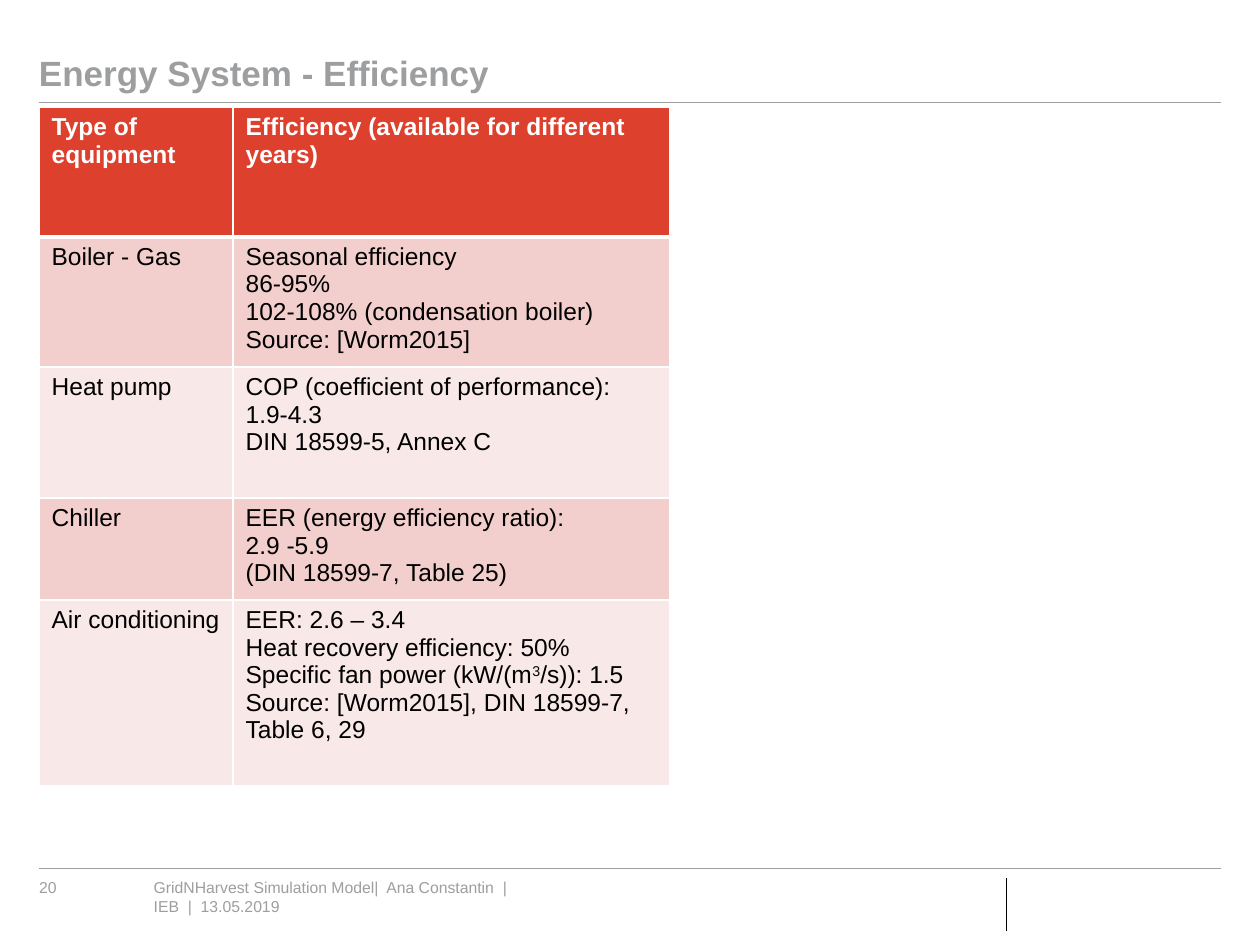
from dataclasses import dataclass
from typing import NamedTuple

from lxml import etree
from pptx import Presentation
from pptx.dml.color import RGBColor
from pptx.enum.shapes import MSO_CONNECTOR
from pptx.enum.text import MSO_ANCHOR
from pptx.oxml.ns import qn
from pptx.util import Inches, Pt

STRAIGHT = MSO_CONNECTOR.STRAIGHT
TOP, BOTTOM = MSO_ANCHOR.TOP, MSO_ANCHOR.BOTTOM


@dataclass(frozen=True)
class Theme:
    font: str = "Arial"
    grey: str = "9D9EA0"
    black: str = "000000"
    white: str = "FFFFFF"
    header: str = "DD402D"
    bands: tuple[str, str] = ("F2CFCD", "F9E8E8")
    title_size: float = 20
    table_size: float = 14
    footer_size: float = 9
    border: float = 1
    header_border: float = 3


class Label(NamedTuple):
    text: str
    left: float
    top: float
    width: float
    height: float
    size: float
    bold: bool = False
    anchor: MSO_ANCHOR = TOP
    spacing: float = 1.0


class Rule(NamedTuple):
    x1: float
    y1: float
    x2: float
    y2: float
    color: str
    width: float


class Row(NamedTuple):
    height: float
    equipment: str
    efficiency: list[str]


THEME = Theme()
LEFT, RIGHT = 0.31, 9.69
FOOTER_TOP = 6.97
SUPERSCRIPT_MARK = "^"

RULES = [
    Rule(LEFT, 0.81, RIGHT, 0.81, THEME.grey, 0.5),
    Rule(LEFT, 6.89, RIGHT, 6.89, THEME.grey, 0.5),
    Rule(7.99, FOOTER_TOP, 7.99, 7.39, THEME.black, 0.75),
]
LABELS = [
    Label("GridNHarvest Simulation Model|  Ana Constantin  |  IEB  |  13.05.2019",
          1.22, FOOTER_TOP, 2.95, 0.47, THEME.footer_size),
    Label("20", LEFT, FOOTER_TOP, 0.72, 0.15, THEME.footer_size),
    Label("Energy System - Efficiency", LEFT, 0.16, 9.37, 0.59,
          THEME.title_size, True, BOTTOM, 0.9),
]
COLUMN_WIDTHS = (1.54, 3.47)
ROWS = [
    Row(1.03, "Type of equipment", ["Efficiency (available for different years)"]),
    Row(0.97, "Boiler - Gas", ["Seasonal efficiency", "86-95%",
                               "102-108% (condensation boiler)", "Source: [Worm2015]"]),
    Row(1.04, "Heat pump", ["COP (coefficient of performance):", "1.9-4.3",
                            "DIN 18599-5, Annex C"]),
    Row(0.81, "Chiller", ["EER (energy efficiency ratio):", "2.9 -5.9",
                          "(DIN 18599-7, Table 25)"]),
    Row(1.47, "Air conditioning", ["EER: 2.6 – 3.4", "Heat recovery efficiency: 50%",
                                   "Specific fan power (kW/(m^3^/s)): 1.5",
                                   "Source: [Worm2015], DIN 18599-7, Table 6, 29"]),
]


def add_runs(p, text: str, size: float, color: str, bold: bool) -> None:
    """Add text to a paragraph, raising whatever stands between two marks."""
    for i, part in enumerate(text.split(SUPERSCRIPT_MARK)):
        r = p.add_run()
        r.text = part
        r.font.name, r.font.size, r.font.bold = THEME.font, Pt(size), bold
        r.font.color.rgb = RGBColor.from_string(color)
        if i % 2:
            r.font._element.set("baseline", "30000")


def add_label(slide, label: Label) -> None:
    sp = slide.shapes.add_textbox(Inches(label.left), Inches(label.top),
                                  Inches(label.width), Inches(label.height))
    tf = sp.text_frame
    tf.word_wrap = True
    tf.vertical_anchor = label.anchor
    tf.margin_left = tf.margin_top = tf.margin_right = tf.margin_bottom = 0
    p = tf.paragraphs[0]
    p.line_spacing = label.spacing
    add_runs(p, label.text, label.size, THEME.grey, label.bold)


def add_rule(slide, rule: Rule) -> None:
    line = slide.shapes.add_connector(STRAIGHT, Inches(rule.x1), Inches(rule.y1),
                                      Inches(rule.x2), Inches(rule.y2))
    line.line.color.rgb = RGBColor.from_string(rule.color)
    line.line.width = Pt(rule.width)
    etree.SubElement(line._element.spPr, qn("a:effectLst"))


def set_borders(cell, top: float, bottom: float) -> None:
    tc_pr = cell._tc.get_or_add_tcPr()
    widths = {"a:lnL": THEME.border, "a:lnR": THEME.border, "a:lnT": top, "a:lnB": bottom}
    for i, (tag, width) in enumerate(widths.items()):
        ln = etree.Element(qn(tag), w=str(Pt(width)))
        fill = etree.SubElement(ln, qn("a:solidFill"))
        etree.SubElement(fill, qn("a:srgbClr"), val=THEME.white)
        tc_pr.insert(i, ln)


def fill_cell(cell, lines: list[str], row_index: int) -> None:
    is_header = row_index == 0
    color = THEME.white if is_header else THEME.black
    fill = THEME.header if is_header else THEME.bands[(row_index - 1) % 2]
    cell.fill.solid()
    cell.fill.fore_color.rgb = RGBColor.from_string(fill)
    set_borders(cell,
                top=THEME.header_border if row_index == 1 else THEME.border,
                bottom=THEME.header_border if is_header else THEME.border)
    tf = cell.text_frame
    for i, line in enumerate(lines):
        p = tf.add_paragraph() if i else tf.paragraphs[0]
        add_runs(p, line, THEME.table_size, color, is_header)


def add_efficiency_table(slide) -> None:
    table = slide.shapes.add_table(
        len(ROWS), len(COLUMN_WIDTHS), Inches(LEFT), Inches(0.85),
        Inches(sum(COLUMN_WIDTHS)), Inches(sum(row.height for row in ROWS))).table
    for column, width in zip(table.columns, COLUMN_WIDTHS):
        column.width = Inches(width)
    for i, row in enumerate(ROWS):
        table.rows[i].height = Inches(row.height)
        fill_cell(table.cell(i, 0), [row.equipment], i)
        fill_cell(table.cell(i, 1), row.efficiency, i)


def main() -> None:
    prs = Presentation()
    prs.slide_width, prs.slide_height = Inches(10), Inches(7.5)
    slide = prs.slides.add_slide(prs.slide_layouts[6])
    for rule in RULES:
        add_rule(slide, rule)
    for label in LABELS:
        add_label(slide, label)
    add_efficiency_table(slide)
    prs.save("out.pptx")


if __name__ == "__main__":
    main()
